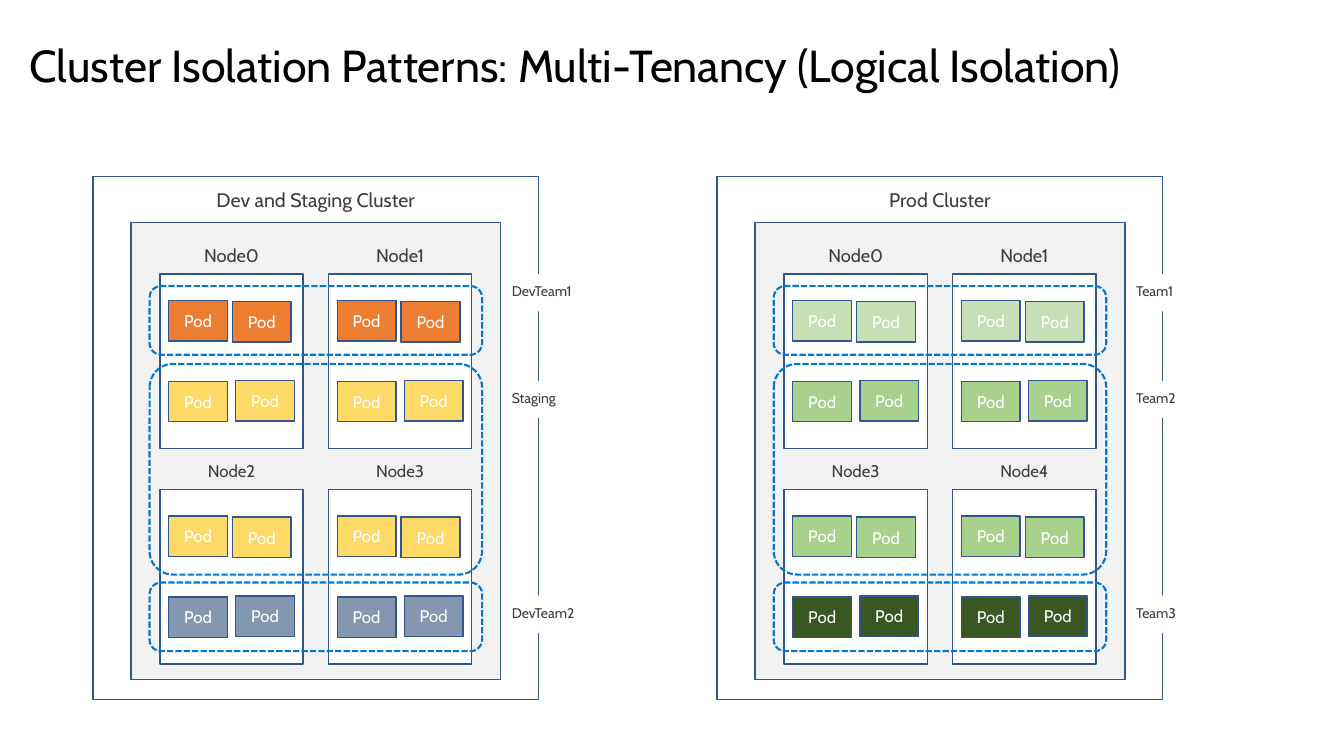
from pptx import Presentation
from pptx.dml.color import RGBColor
from pptx.enum.dml import MSO_LINE
from pptx.enum.shapes import MSO_SHAPE
from pptx.enum.text import MSO_ANCHOR, MSO_AUTO_SIZE, PP_ALIGN
from pptx.util import Cm, Pt

NAVY, BLUE, WHITE, GRAY, INK = "325491", "0078D4", "FFFFFF", "F2F2F2", "3C3C41"


def write(shape, text, size, color, align, anchor=MSO_ANCHOR.TOP):
    frame = shape.text_frame
    frame.word_wrap = True
    frame.vertical_anchor = anchor
    line = frame.paragraphs[0]
    line.alignment = align
    run = line.add_run()
    run.text = text
    run.font.size = Pt(size)
    run.font.name = "Cabin"
    run.font.color.rgb = RGBColor.from_string(color)
    return frame


def draw(kind, spot, fill=None, edge=None, width=1):
    shape = slide.shapes.add_shape(kind, *map(Cm, spot))
    shape.shadow.inherit = False
    for part, color in ((shape.fill, fill), (shape.line.fill, edge)):
        if color:
            part.solid()
            part.fore_color.rgb = RGBColor.from_string(color)
        else:
            part.background()
    if edge:
        shape.line.width = Pt(width)
    return shape


deck = Presentation()
deck.slide_width, deck.slide_height = Cm(33.87), Cm(19.05)
slide = deck.slides.add_slide(deck.slide_layouts[5])

title = slide.shapes.title
title.left, title.top, title.width, title.height = map(Cm, (0.48, 0.33, 32.84, 2.77))
frame = write(title, "Cluster Isolation Patterns: Multi-Tenancy (Logical Isolation)",
              32, "000000", PP_ALIGN.LEFT, MSO_ANCHOR.MIDDLE)
frame.auto_size = MSO_AUTO_SIZE.NONE
frame.paragraphs[0].line_spacing = 0.9

clusters = [
    (2.34, "Dev and Staging Cluster", ["DevTeam1", "Staging", "DevTeam2"],
     ["Node0", "Node1", "Node2", "Node3"], ["ED7D31", "FFD966", "FFD966", "8497B0"]),
    (18.07, "Prod Cluster", ["Team1", "Team2", "Team3"],
     ["Node0", "Node1", "Node3", "Node4"], ["C5E0B4", "A9D18E", "A9D18E", "385723"]),
]
pods = [(0, 0.22, 0.66), (0, 1.83, 0.69), (1, 1.91, 2.68), (1, 0.22, 2.7)]
bands = [(7.21, 1.73, 0.167), (9.17, 5.31, 0.112), (14.68, 1.73, 0.167)]

for left, name, teams, nodes, hues in clusters:
    draw(MSO_SHAPE.RECTANGLE, (left, 4.45, 11.23, 13.18), edge=NAVY)
    heads = [(name, left + 2.44, 4.6, 6.35, 14)]
    for team, top in zip(teams, (6.91, 9.6, 15.01)):
        tag = draw(MSO_SHAPE.RECTANGLE, (left + 10.31, top, 4.39, 0.94), WHITE)
        frame = write(tag, team, 10, INK, PP_ALIGN.LEFT)
        frame.margin_top = frame.margin_bottom = Cm(0.25)
        frame.auto_size = MSO_AUTO_SIZE.SHAPE_TO_FIT_TEXT
    draw(MSO_SHAPE.RECTANGLE, (left + 0.96, 5.61, 9.32, 11.51), GRAY, NAVY)

    for i, node in enumerate(nodes):
        row, col = divmod(i, 2)
        x, y = left + 1.69 + col * 4.25, 6.91 + row * 5.43
        heads.append((node, x + 0.55, 6.02 + row * 5.46, 2.51, 13 - row))
        draw(MSO_SHAPE.RECTANGLE, (x, y, 3.61, 4.39), WHITE, NAVY)
        for tier, dx, dy in pods:
            pod = draw(MSO_SHAPE.RECTANGLE, (x + dx, y + dy, 1.48, 1.02),
                       hues[row * 2 + tier], NAVY)
            write(pod, "Pod", 12, WHITE, PP_ALIGN.CENTER, MSO_ANCHOR.MIDDLE)

    for text, x, y, width, size in heads:
        label = slide.shapes.add_textbox(Cm(x), Cm(y), Cm(width), Cm(0.82))
        frame = write(label, text, size, INK, PP_ALIGN.CENTER)
        frame.auto_size = MSO_AUTO_SIZE.SHAPE_TO_FIT_TEXT

    for top, height, curve in bands:
        band = draw(MSO_SHAPE.ROUNDED_RECTANGLE, (left + 1.43, top, 8.38, height),
                    edge=BLUE, width=1.5)
        band.adjustments[0] = curve
        band.line.dash_style = MSO_LINE.SQUARE_DOT

deck.save("out.pptx")
